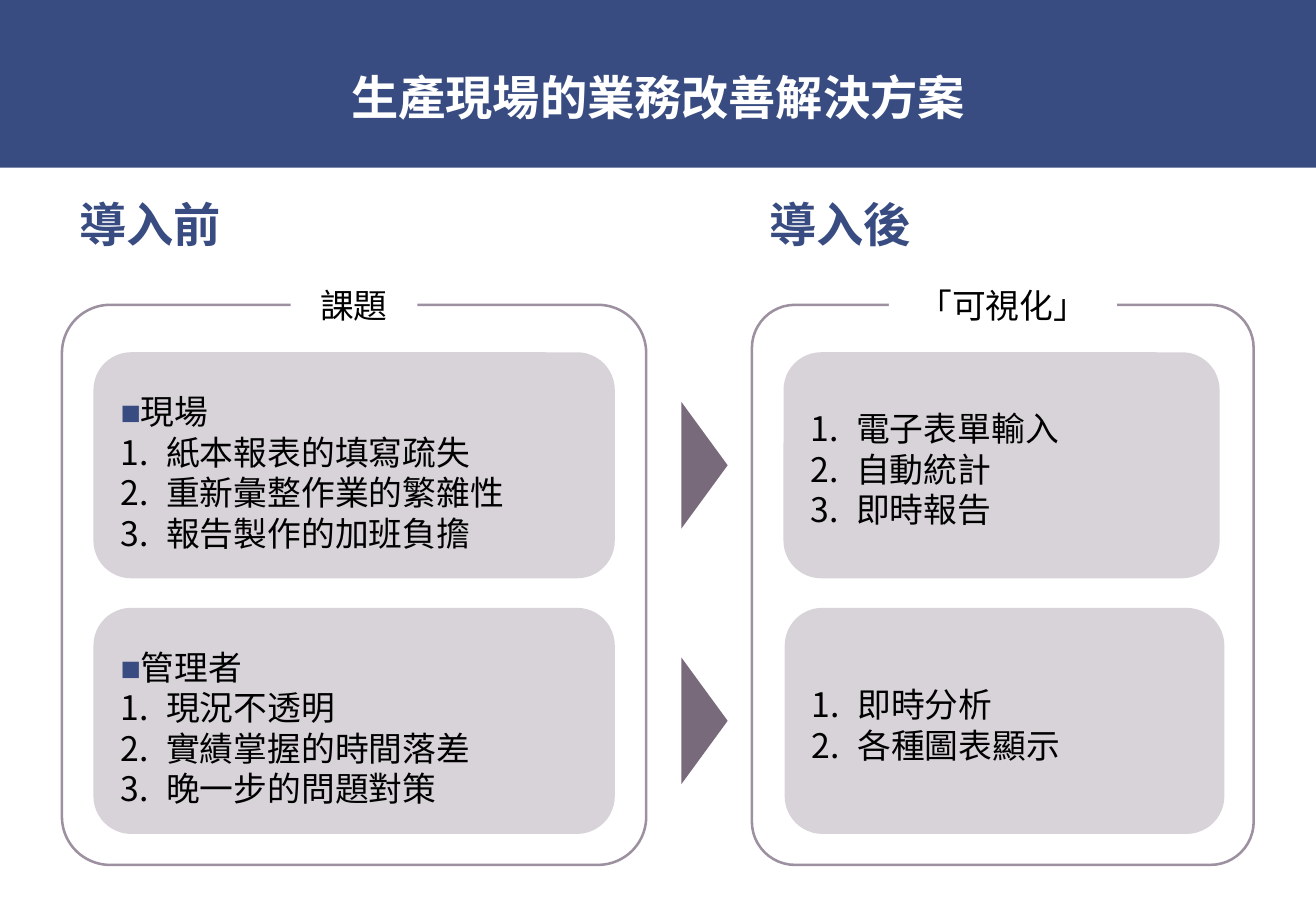
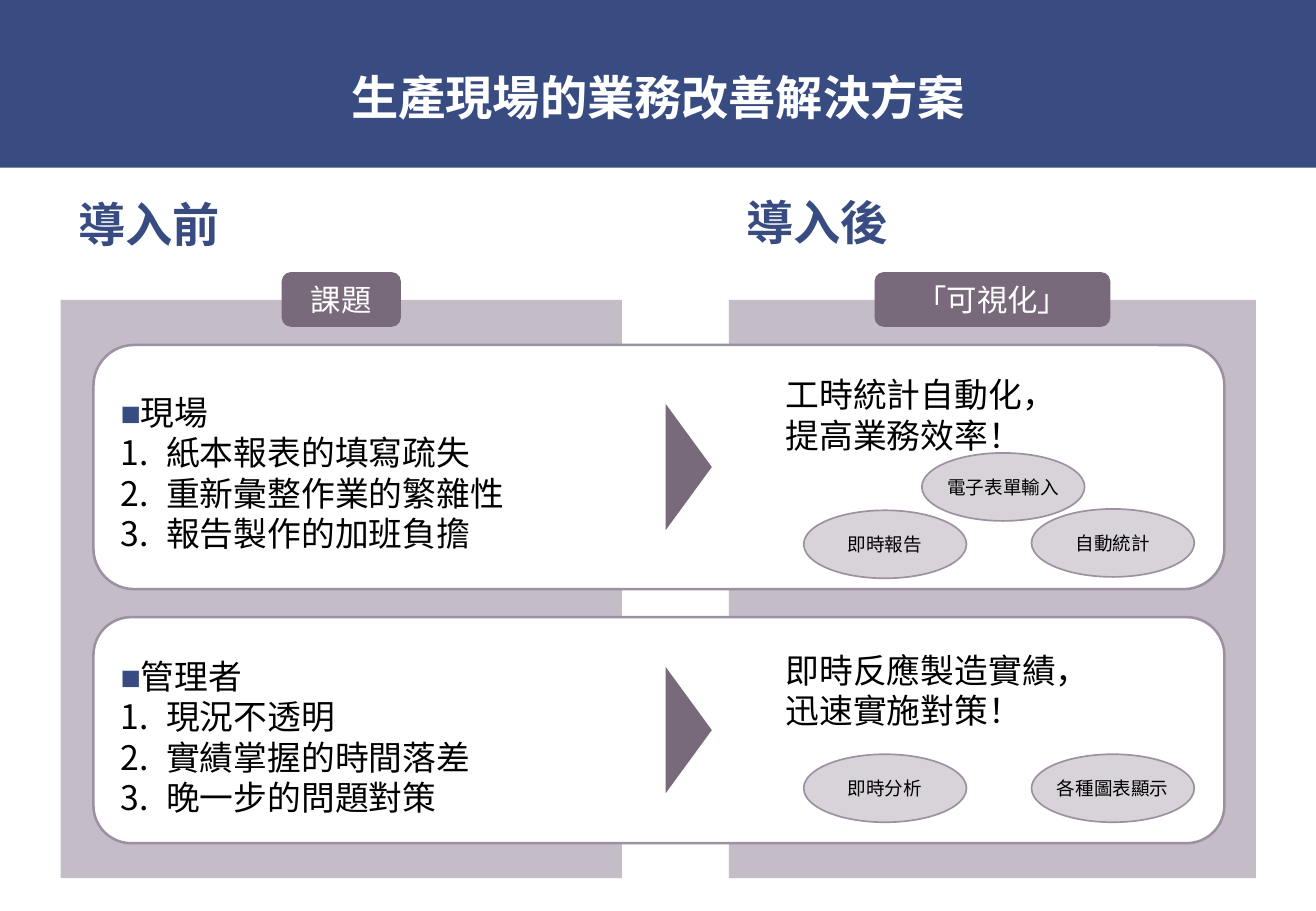
from lxml import etree
from pptx import Presentation
from pptx.dml.color import RGBColor
from pptx.enum.shapes import MSO_SHAPE
from pptx.enum.text import MSO_ANCHOR, MSO_AUTO_SIZE, PP_ALIGN
from pptx.oxml.ns import qn
from pptx.util import Pt

RECT, ROUND = MSO_SHAPE.RECTANGLE, MSO_SHAPE.ROUNDED_RECTANGLE
OVAL, TRIANGLE = MSO_SHAPE.OVAL, MSO_SHAPE.ISOSCELES_TRIANGLE
TOP, MIDDLE = MSO_ANCHOR.TOP, MSO_ANCHOR.MIDDLE
LEFT, CENTER, JUSTIFY = PP_ALIGN.LEFT, PP_ALIGN.CENTER, PP_ALIGN.JUSTIFY
NO_FIT = MSO_AUTO_SIZE.NONE

FONT, MARK_FONT = "Noto Sans CJK SC", "Arial"
NAVY, PLUM, EDGE = "384C81", "78697B", "9D90A0"
MAUVE, PALE, WHITE, BLACK = "C4BCC6", "D8D3D9", "FFFFFF", "000000"

TITLE = "生產現場的業務改善解決方案"
ISSUES = [
    ("現場", ["紙本報表的填寫疏失", "重新彙整作業的繁雜性", "報告製作的加班負擔"]),
    ("管理者", ["現況不透明", "實績掌握的時間落差", "晚一步的問題對策"]),
]


def rgb(color):
    """Return the colour for a hex string."""
    return RGBColor.from_string(color)


def add_run(p, text, size, color, bold=False, font=FONT):
    """Add one formatted run to a paragraph."""
    r = p.add_run()
    r.text = text
    r.font.size = Pt(size)
    r.font.bold = bold
    r.font.color.rgb = rgb(color)
    r.font.name = font
    ea = etree.SubElement(r._r.get_or_add_rPr(), qn("a:ea"))
    ea.set("typeface", font)


def write(tf, text, size=20, color=BLACK, bold=False, align=CENTER,
          spacing=None, numbered=False, mark=""):
    """Write one paragraph, in the empty first one if there is one."""
    p = tf.paragraphs[0]
    if p.runs:
        p = tf.add_paragraph()
    if numbered:
        pPr = p._p.get_or_add_pPr()
        pPr.set("marL", str(Pt(27)))
        pPr.set("indent", str(-Pt(27)))
        etree.SubElement(pPr, qn("a:buAutoNum")).set("type", "arabicPeriod")
    p.alignment = align
    if spacing:
        p.line_spacing = Pt(size * spacing)
    if mark:
        add_run(p, mark, size, NAVY, font=MARK_FONT)
    for i, line in enumerate(text.split("\n")):
        if i:
            p.add_line_break()
        add_run(p, line, size, color, bold)


def add_shape(s, kind, x, y, w, h, fill=None, line=None, weight=1.5):
    """Add a preset shape without shadow."""
    sp = s.shapes.add_shape(kind, Pt(x), Pt(y), Pt(w), Pt(h))
    sp.shadow.inherit = False
    if fill:
        sp.fill.solid()
        sp.fill.fore_color.rgb = rgb(fill)
    else:
        sp.fill.background()
    if line:
        sp.line.color.rgb = rgb(line)
        sp.line.width = Pt(weight)
    else:
        sp.line.fill.background()
    return sp


def add_label(sp, text, size, color):
    """Centre a short text in a shape."""
    tf = sp.text_frame
    tf.margin_left = tf.margin_right = tf.margin_top = tf.margin_bottom = 0
    tf.vertical_anchor = MIDDLE
    tf.word_wrap = False
    write(tf, text, size, color)


def add_box(s, x, y, w, h, size=20):
    """Add a wrapping text box and return its text frame."""
    tf = s.shapes.add_textbox(Pt(x), Pt(y), Pt(w), Pt(h)).text_frame
    tf.word_wrap = True
    tf.margin_top = Pt(3.6 + size * 0.1)
    return tf


def add_title(s):
    """Format the title placeholder as the blue band."""
    sp = s.shapes.title
    sp.left, sp.top, sp.width, sp.height = Pt(0), Pt(0), Pt(780), Pt(99.4)
    sp.fill.solid()
    sp.fill.fore_color.rgb = rgb(NAVY)
    tf = sp.text_frame
    tf.auto_size = NO_FIT
    tf.vertical_anchor = TOP
    tf.margin_top = Pt(40.2)
    write(tf, TITLE, 28, WHITE, bold=True, spacing=1.2)


def add_heading(s, text, x, y):
    """Add a column heading."""
    write(add_box(s, x, y, 104.4, 41, 28), text, 28, NAVY, bold=True, spacing=1.2)


def add_list(s, items, x, y, w, head=""):
    """Add a numbered list, under a marked heading if one is given."""
    tf = add_box(s, x, y, w, 7 + 24 * len(items) + (36 if head else 0))
    if head:
        write(tf, head, align=JUSTIFY, spacing=1.8, mark="■")
    for item in items:
        write(tf, item, align=JUSTIFY, spacing=1.2, numbered=True)


def add_arrow(s, cx, cy):
    """Add a triangle that points right, centred on a point."""
    add_shape(s, TRIANGLE, cx - 37.5, cy - 13.7, 75, 27.4, PLUM).rotation = 90


def add_frame(s, text, x, w):
    """Add an outlined column with a label across its top edge."""
    add_shape(s, ROUND, x, 180.7, w, 332, line=EDGE).adjustments[0] = 0.086
    tab_w = 20 * len(text) + 35
    tab = add_shape(s, ROUND, x + (w - tab_w) / 2, 163.4, tab_w, 34.6, WHITE)
    add_label(tab, text, 20, BLACK)


def add_column(s, text, x, w, tab_w):
    """Add a filled column with a tab across its top edge."""
    add_shape(s, RECT, x, 177.8, w, 342.7, MAUVE)
    tab = add_shape(s, ROUND, x + (w - tab_w) / 2, 161.3, tab_w, 32.4, PLUM)
    add_label(tab, text, 18, WHITE)


def add_panel(s, items, x, y, w, head=""):
    """Add a pale panel with its list."""
    add_shape(s, ROUND, x, y, w, 134, PALE)
    list_h = 7 + 24 * len(items)
    list_y = y + 5.4 if head else y + (134 - list_h) / 2
    add_list(s, items, x + 9, list_y, w - 12, head)


def add_row(s, issue, message, bubbles, y, h, list_dy, message_dy):
    """Add a row that leads from an issue to its result."""
    x = 55.4
    add_shape(s, ROUND, x, y, 670.3, h, WHITE, EDGE)
    head, items = issue
    add_list(s, items, x + 9, y + list_dy, 297, head)
    add_arrow(s, 408.2, y + h / 2)
    tf = add_box(s, x + 403.2, y + message_dy, 258, 55.4)
    write(tf, message, align=LEFT, spacing=1.2)
    for text, dx, dy in bubbles:
        sp = add_shape(s, OVAL, x + dx, y + dy, 96.5, 40.3, PALE, EDGE, 1)
        add_label(sp, text, 11, BLACK)


def overview_slide(s):
    """Build the slide with two framed columns."""
    add_title(s)
    add_heading(s, "導入前", 36.7, 109.4)
    add_heading(s, "導入後", 445.7, 109.4)
    add_frame(s, "課題", 36.7, 346.3)
    add_frame(s, "「可視化」", 445.7, 297.4)
    results = [
        (["電子表單輸入", "自動統計", "即時報告"], 464.4, 258.5),
        (["即時分析", "各種圖表顯示"], 465.1, 260.6),
    ]
    for i, ((head, items), (answers, x, w)) in enumerate(zip(ISSUES, results)):
        y = 208.8 + i * 151.5
        add_panel(s, items, 55.4, y, 309, head)
        add_panel(s, answers, x, y, w)
        add_arrow(s, 417.6, y + 67)


def effect_slide(s):
    """Build the slide with rows across two filled columns."""
    add_title(s)
    add_heading(s, "導入前", 36, 109.4)
    add_heading(s, "導入後", 432, 108)
    add_column(s, "課題", 36, 332.6, 70.6)
    add_column(s, "「可視化」", 432, 312.5, 139.7)
    add_row(s, ISSUES[0], "工時統計自動化，\n提高業務效率！",
            [("電子表單輸入", 491, 64), ("自動統計", 556, 97.2), ("即時報告", 421, 98)],
            204.5, 144.7, 10, 11.5)
    add_row(s, ISSUES[1], "即時反應製造實績，\n迅速實施對策！",
            [("即時分析", 421, 81.3), ("各種圖表顯示", 556, 81.3)],
            365.8, 134, 5, 13.7)


def main():
    """Build and save the presentation."""
    prs = Presentation()
    prs.slide_width, prs.slide_height = Pt(780), Pt(540)
    for build in (overview_slide, effect_slide):
        build(prs.slides.add_slide(prs.slide_layouts[5]))
    prs.save("out.pptx")


if __name__ == "__main__":
    main()
